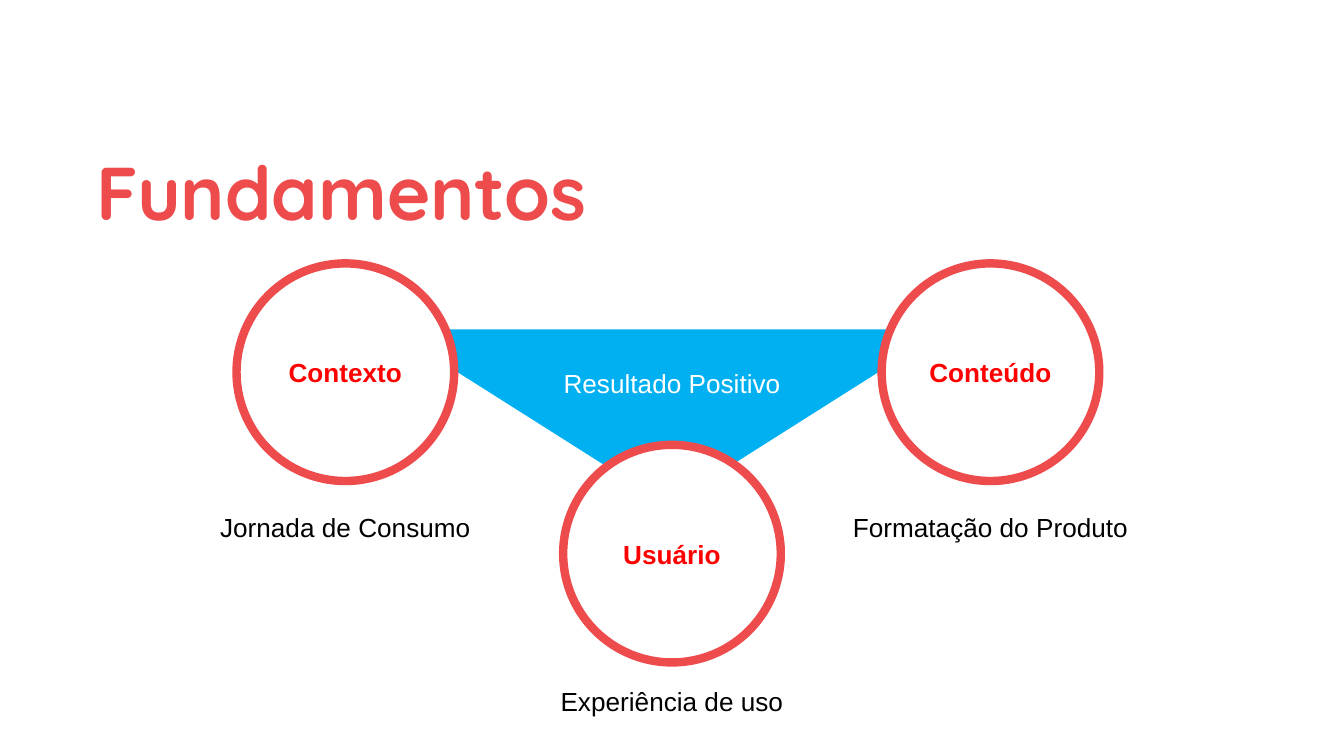
from pptx import Presentation
from pptx.dml.color import RGBColor
from pptx.enum.shapes import MSO_SHAPE
from pptx.enum.text import MSO_ANCHOR, PP_ALIGN
from pptx.util import Pt

CORAL = "EE4B4C"
DIAMETER = 116.6
LABEL_HEIGHT = 24.5


def color(code):
    return RGBColor.from_string(code)


def write(shape, text, size, code, bold=False, font="Arial", align=PP_ALIGN.CENTER):
    frame = shape.text_frame
    frame.word_wrap = True
    frame.vertical_anchor = MSO_ANCHOR.MIDDLE
    para = frame.paragraphs[0]
    para.alignment = align
    span = para.add_run()
    span.text = text
    span.font.name = font
    span.font.size = Pt(size)
    span.font.bold = bold
    span.font.color.rgb = color(code)
    return para


def add_title(page, text):
    box = page.shapes.add_textbox(Pt(44.6), Pt(50.4), Pt(583.2), Pt(96.5))
    frame = box.text_frame
    frame.margin_left = frame.margin_right = Pt(7.2)
    frame.margin_top = frame.margin_bottom = Pt(7.2)
    para = write(box, text, 40, "EE4C4C", True, "Quicksand", PP_ALIGN.LEFT)
    para.line_spacing = 1.15


def add_label(page, text, center, top, width, code="000000"):
    box = page.shapes.add_textbox(
        Pt(center - width / 2), Pt(top), Pt(width), Pt(LABEL_HEIGHT))
    write(box, text, 14, code)


def add_filled(page, kind, left, top, width, height, fill):
    shape = page.shapes.add_shape(kind, Pt(left), Pt(top), Pt(width), Pt(height))
    shape.shadow.inherit = False
    shape.fill.solid()
    shape.fill.fore_color.rgb = color(fill)
    shape.line.fill.background()
    return shape


def add_triangle(page):
    triangle = add_filled(
        page, MSO_SHAPE.ISOSCELES_TRIANGLE, 208.8, 176.4, 298.1, 94.3, "00B0F0")
    triangle.rotation = 180


def add_circle(page, text, center, top):
    circle = add_filled(
        page, MSO_SHAPE.OVAL, center - DIAMETER / 2, top, DIAMETER, DIAMETER, "FFFFFF")
    circle.line.color.rgb = color(CORAL)
    circle.line.width = Pt(4.5)
    write(circle, text, 14, "FF0000", True)


def main():
    deck = Presentation()
    deck.slide_width, deck.slide_height = Pt(720), Pt(405)
    page = deck.slides.add_slide(deck.slide_layouts[6])

    pillars = [
        ("Usuário", 360, 238.3, "Experiência de uso", 363.6, 137.5),
        ("Contexto", 185, 141.1, "Jornada de Consumo", 270, 154.8),
        ("Conteúdo", 530.6, 141.1, "Formatação do Produto", 270, 174.2),
    ]

    add_title(page, "Fundamentos")
    add_triangle(page)
    add_label(page, "Resultado Positivo", 360, 193, 137.5, "FFFFFF")
    for name, center, top, caption, caption_top, caption_width in pillars:
        add_circle(page, name, center, top)
        add_label(page, caption, center, caption_top, caption_width)

    deck.save("out.pptx")


if __name__ == "__main__":
    main()
